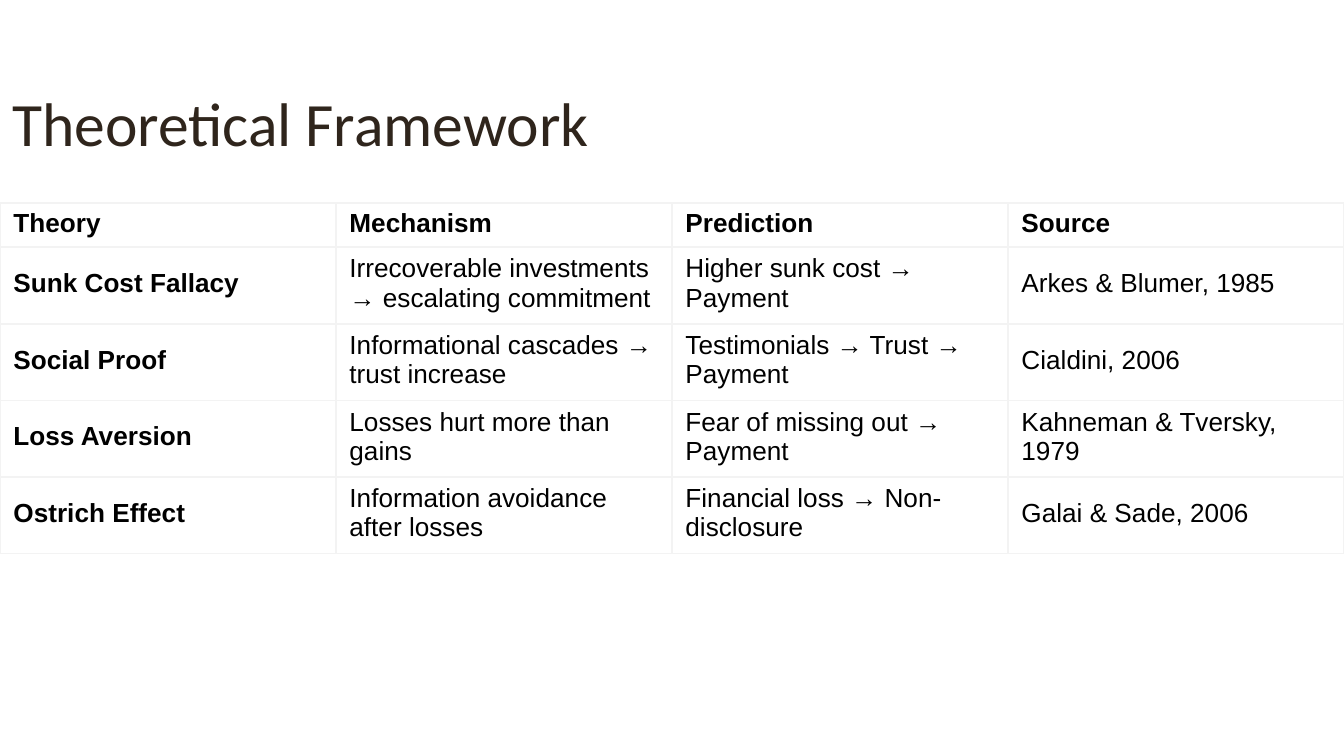
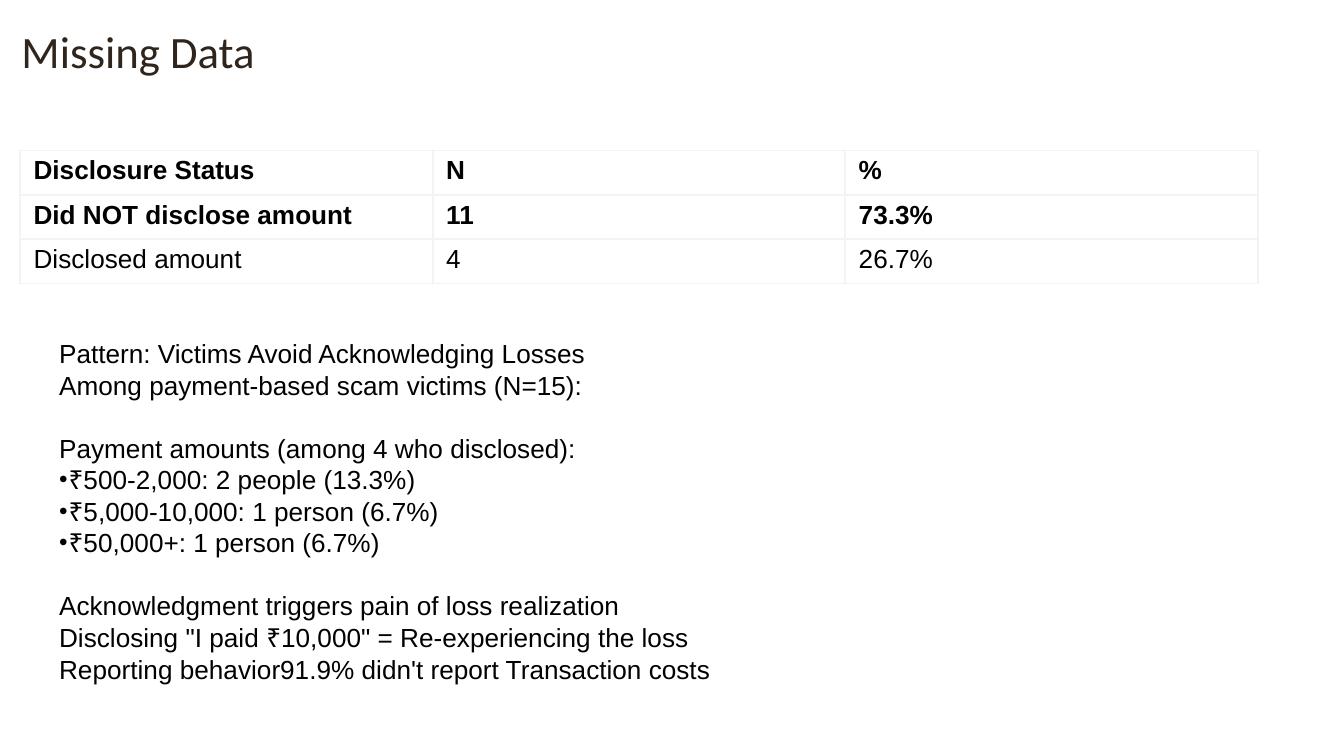
from lxml import etree
from pptx import Presentation
from pptx import util as u
from pptx.dml.color import RGBColor
from pptx.enum import text
from pptx.oxml import ns

TITLE_COLOUR, TEXT_COLOUR, BORDER_COLOUR = "2F251C", "000000", "F3F3F3"


def style(font, name, size, colour, bold=False):
    font.name, font.size, font.bold = name, u.Pt(size), bold
    font.color.rgb = RGBColor.from_string(colour)


def add_child(parent, tag, **attributes):
    child = etree.SubElement(parent, ns.qn(tag))
    for key, value in attributes.items():
        child.set(key, str(value))
    return child


slides = [
    {
        "title": "Theoretical Framework", "title_size": 33,
        "title_box": (0.08, 0.61, 4.35, 0.58),
        "table_at": (0, 1.51), "columns": 4, "column_width": 2.5,
        "row_heights": [0.33] + [0.57] * 4,
        "rows": [
            ["Theory", "Mechanism", "Prediction", "Source"],
            ["Sunk Cost Fallacy", "Irrecoverable investments\n→ escalating commitment",
             "Higher sunk cost →\nPayment", "Arkes & Blumer, 1985"],
            ["Social Proof", "Informational cascades →\ntrust increase",
             "Testimonials → Trust →\nPayment", "Cialdini, 2006"],
            ["Loss Aversion", "Losses hurt more than gains",
             "Fear of missing out →\nPayment", "Kahneman & Tversky, 1979"],
            ["Ostrich Effect", "Information avoidance after losses",
             "Financial loss → Non-disclosure", "Galai & Sade, 2006"],
        ],
        "bold_rows": 1, "bold_columns": 1, "findings": [],
    },
    {
        "title": "Missing Data", "title_size": 24,
        "title_box": (0.15, 0.16, 6.78, 0.43),
        "table_at": (0.15, 1.12), "columns": 3, "column_width": 3.07,
        "row_heights": [0.33] * 3,
        "rows": [
            ["Disclosure Status", "N", "%"],
            ["Did NOT disclose amount", "11", "73.3%"],
            ["Disclosed amount", "4", "26.7%"],
        ],
        "bold_rows": 2, "bold_columns": 0,
        "findings": [
            ["Pattern: Victims Avoid Acknowledging Losses",
             "Among payment-based scam victims (N=15):"],
            ["Payment amounts (among 4 who disclosed):",
             "•₹500-2,000: 2 people (13.3%)",
             "•₹5,000-10,000: 1 person (6.7%)",
             "•₹50,000+: 1 person (6.7%)"],
            ["Acknowledgment triggers pain of loss realization",
             'Disclosing "I paid ₹10,000" = Re-experiencing the loss',
             "Reporting behavior91.9% didn't report Transaction costs"],
        ],
    },
]

# Widescreen page, 16:9
prs = Presentation()
prs.slide_width = u.Inches(10)
prs.slide_height = prs.slide_width * 9 // 16

for content in slides:
    # Title
    layout = prs.slide_layouts[1 if content["findings"] else 5]
    slide = prs.slides.add_slide(layout)
    title = slide.shapes.title
    title.left, title.top, title.width, title.height = map(u.Inches, content["title_box"])
    heading = title.text_frame
    heading.text = content["title"]
    heading.auto_size = text.MSO_AUTO_SIZE.NONE
    heading.vertical_anchor = text.MSO_ANCHOR.TOP
    heading.margin_left = u.Inches(0.01)
    heading.margin_top = u.Inches(0.02)
    heading.margin_right = heading.margin_bottom = 0
    heading.paragraphs[0].alignment = text.PP_ALIGN.LEFT
    style(heading.paragraphs[0].runs[0].font, "Calibri", content["title_size"], TITLE_COLOUR)

    # Table
    left, top = content["table_at"]
    heights = content["row_heights"]
    table = slide.shapes.add_table(
        len(heights), content["columns"], u.Inches(left), u.Inches(top),
        u.Inches(content["columns"] * content["column_width"]), u.Inches(sum(heights))).table
    table.first_row = table.horz_banding = False
    for column in table.columns:
        column.width = u.Inches(content["column_width"])
    for r, values in enumerate(content["rows"]):
        table.rows[r].height = u.Inches(heights[r])
        for c, value in enumerate(values):
            cell = table.cell(r, c)
            cell.text_frame.text = value
            cell.vertical_anchor = text.MSO_ANCHOR.MIDDLE
            cell.margin_left, cell.margin_right = u.Inches(0.1), u.Inches(0.08)
            cell.margin_top, cell.margin_bottom = 0, u.Inches(0.03)
            bold = r < content["bold_rows"] or c < content["bold_columns"]
            for paragraph in cell.text_frame.paragraphs:
                style(paragraph.runs[0].font, "Arial", 14, TEXT_COLOUR, bold)
            for side in ("a:lnL", "a:lnR", "a:lnT", "a:lnB"):
                line = add_child(cell._tc.get_or_add_tcPr(), side, w=u.Pt(1))
                add_child(add_child(line, "a:solidFill"), "a:srgbClr", val=BORDER_COLOUR)
            cell.fill.background()

    if not content["findings"]:
        continue

    # Findings, one group of lines after another
    body = slide.placeholders[1]
    body.left, body.top, body.width, body.height = map(u.Inches, (0.43, 2.49, 4.95, 2.6))
    findings = body.text_frame
    findings.auto_size = text.MSO_AUTO_SIZE.NONE
    findings.margin_left = u.Inches(0.01)
    findings.margin_top = u.Inches(0.02)
    findings.margin_right = findings.margin_bottom = 0
    lines = [line for group in content["findings"] for line in group]
    group_starts = [group[0] for group in content["findings"][1:]]
    findings.text = "\n".join(line.lstrip("•") for line in lines)
    for line, paragraph in zip(lines, findings.paragraphs):
        paragraph.line_spacing = u.Pt(16.9)
        paragraph.space_before = u.Pt(16.9 if line in group_starts else 0)
        properties = paragraph._p.get_or_add_pPr()
        hanging = u.Inches(0.07) if line.startswith("•") else 0
        properties.set("marL", str(hanging))
        properties.set("indent", str(-hanging))
        if hanging:
            add_child(properties, "a:buSzPct", val=93000)
            add_child(properties, "a:buChar", char="•")
        else:
            add_child(properties, "a:buNone")
        style(paragraph.runs[0].font, "Arial", 14, TEXT_COLOUR)

prs.save("out.pptx")
